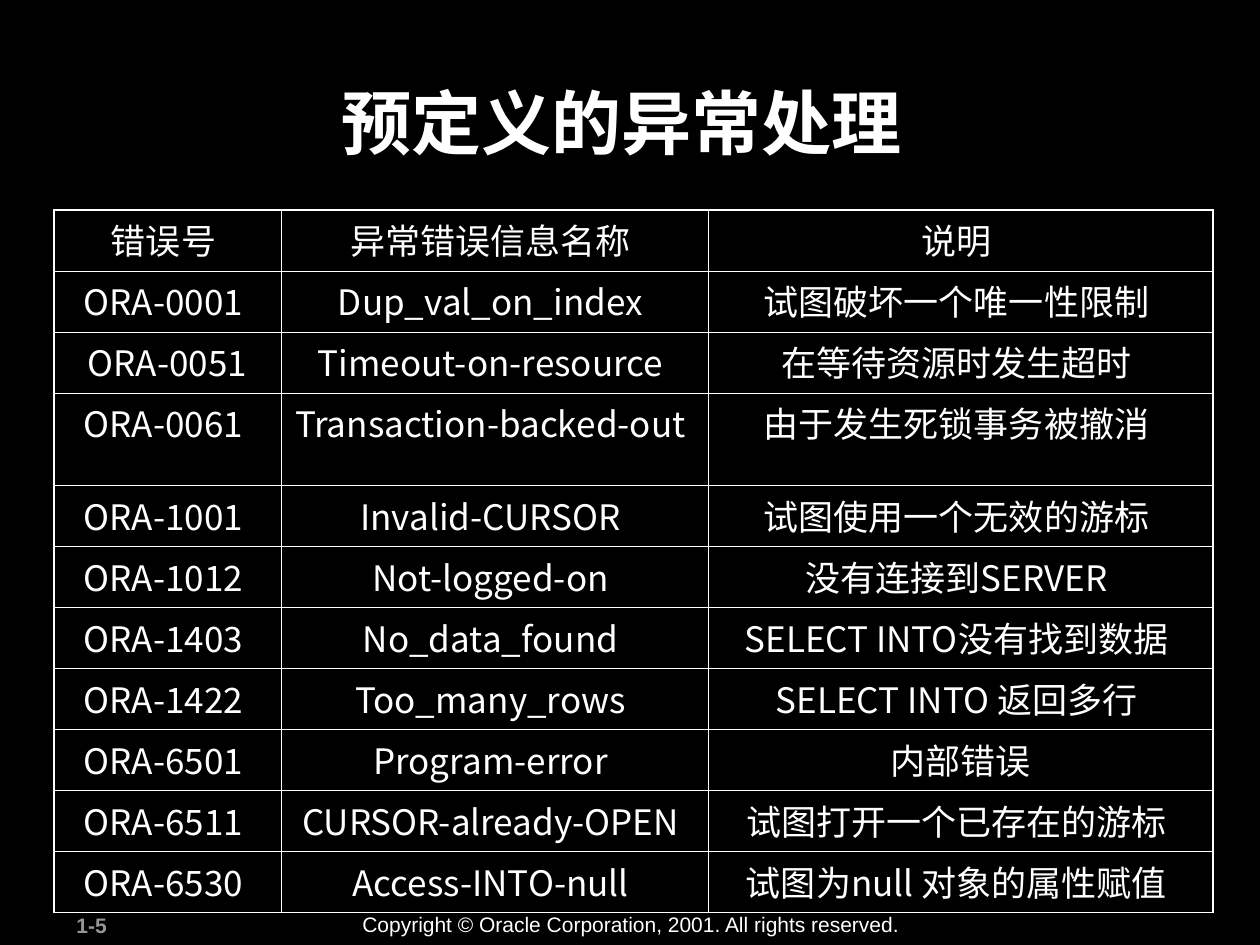
from lxml.etree import SubElement
from pptx import Presentation
from pptx.dml.color import RGBColor
from pptx.enum.text import MSO_ANCHOR, MSO_AUTO_SIZE, PP_ALIGN
from pptx.oxml.ns import qn
from pptx.util import Emu, Pt

PX = 914400 // 126
COLORS = {"background": "000000", "text": "FFFFFF", "page": "969696", "border": "FFFFFF"}
CJK_FONT = "Noto Sans CJK SC"
OUTER_LINE, INNER_LINE = Pt(1.08), Pt(0.45)

COLUMN_WIDTHS = (227, 427, 505)
ROW_HEIGHT, TALL_ROW_HEIGHT = 61, 93
TALL_ROW = 3
# The space that ends most entries shifts their centring slightly.
EXCEPTIONS = [
    ("错误号 ", "异常错误信息名称 ", "说明 "),
    ("ORA-0001 ", "Dup_val_on_index ", "试图破坏一个唯一性限制 "),
    ("ORA-0051", "Timeout-on-resource ", "在等待资源时发生超时 "),
    ("ORA-0061 ", "Transaction-backed-out ", "由于发生死锁事务被撤消 "),
    ("ORA-1001 ", "Invalid-CURSOR ", "试图使用一个无效的游标 "),
    ("ORA-1012 ", "Not-logged-on ", "没有连接到SERVER "),
    ("ORA-1403 ", "No_data_found ", "SELECT INTO没有找到数据 "),
    ("ORA-1422 ", "Too_many_rows ", "SELECT INTO 返回多行 "),
    ("ORA-6501 ", "Program-error ", "内部错误"),
    ("ORA-6511 ", "CURSOR-already-OPEN ", "试图打开一个已存在的游标 "),
    ("ORA-6530 ", "Access-INTO-null ", "试图为null 对象的属性赋值 "),
]


def px(*lengths):
    return [Emu(length * PX) for length in lengths]


def write(frame, text, size, font_name, color="text", bold=False, align=PP_ALIGN.LEFT, spacing=None):
    frame.text = text
    paragraph = frame.paragraphs[0]
    paragraph.alignment = align
    if spacing:
        paragraph.line_spacing = spacing
    font = paragraph.runs[0].font
    font.size, font.name, font.bold = Pt(size), font_name, bold
    font.color.rgb = RGBColor.from_string(COLORS[color])
    SubElement(paragraph.runs[0]._r.get_or_add_rPr(), qn("a:ea"), typeface=font_name)


def add_border(cell, side, width):
    """Draw one side (L, R, T or B) of a cell; call before filling the cell."""
    line = SubElement(cell._tc.get_or_add_tcPr(), qn(f"a:ln{side}"), w=str(int(width)))
    fill = SubElement(line, qn("a:solidFill"))
    SubElement(fill, qn("a:srgbClr"), val=COLORS["border"])


def place_title(slide, box):
    title = slide.shapes.title
    title.left, title.top, title.width, title.height = px(*box)
    frame = title.text_frame
    frame.auto_size = MSO_AUTO_SIZE.NONE
    frame.vertical_anchor = MSO_ANCHOR.TOP
    write(frame, "预定义的异常处理 ", 40, CJK_FONT, bold=True, align=PP_ALIGN.CENTER)


def add_exception_table(slide, left, top):
    last_row, last_column = len(EXCEPTIONS) - 1, len(COLUMN_WIDTHS) - 1
    heights = [TALL_ROW_HEIGHT if r == TALL_ROW else ROW_HEIGHT for r in range(last_row + 1)]
    box = px(left, top, sum(COLUMN_WIDTHS), sum(heights))
    table = slide.shapes.add_table(last_row + 1, last_column + 1, *box).table
    table.first_row = table.horz_banding = False
    for column, width in zip(table.columns, px(*COLUMN_WIDTHS)):
        column.width = width
    for row, height in zip(table.rows, px(*heights)):
        row.height = height
    for r, entries in enumerate(EXCEPTIONS):
        for c, entry in enumerate(entries):
            cell = table.cell(r, c)
            outer_sides = {"L": c == 0, "R": c == last_column, "T": r == 0, "B": r == last_row}
            for side, is_outer in outer_sides.items():
                add_border(cell, side, OUTER_LINE if is_outer else INNER_LINE)
            cell.fill.background()
            write(cell.text_frame, entry, 20, CJK_FONT, align=PP_ALIGN.CENTER, spacing=0.95)


def add_footer_text(slide, box, text, color="text", bold=False):
    frame = slide.shapes.add_textbox(*px(*box)).text_frame
    frame.word_wrap = True
    write(frame, text, 12, "Arial", color, bold)


def main():
    deck = Presentation()
    deck.slide_width, deck.slide_height = px(1260, 945)
    slide = deck.slides.add_slide(deck.slide_layouts[5])
    background = slide.background.fill
    background.solid()
    background.fore_color.rgb = RGBColor.from_string(COLORS["background"])

    add_footer_text(slide, (64, 906, 132, 38), "1-5", "page", bold=True)
    add_footer_text(slide, (350, 905, 564, 38),
                    "Copyright © Oracle Corporation, 2001. All rights reserved.")
    place_title(slide, (119, 73, 1021, 121))
    add_exception_table(slide, 54, 210)
    deck.save("out.pptx")


if __name__ == "__main__":
    main()
